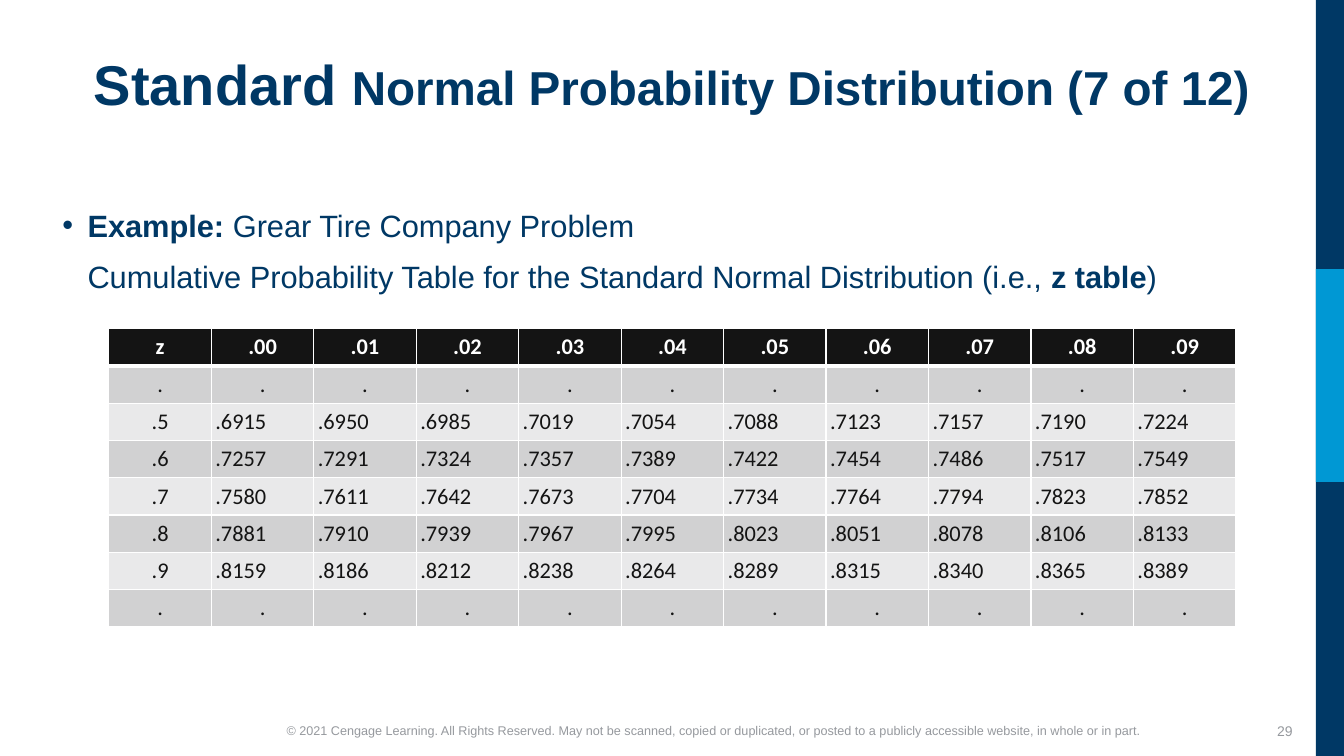
import pptx
import pptx.dml.color
import pptx.enum.shapes
import pptx.enum.text
import pptx.oxml
import pptx.oxml.ns
import pptx.util
from pptx.util import Inches

RGBColor = pptx.dml.color.RGBColor
ALIGN = pptx.enum.text.PP_ALIGN
ANCHOR = pptx.enum.text.MSO_ANCHOR

NAVY = RGBColor(0x00, 0x38, 0x65)
SKY = RGBColor(0x00, 0x98, 0xD4)
GRAY = RGBColor(0x96, 0x99, 0x9E)
WHITE = RGBColor(0xFF, 0xFF, 0xFF)
INK = RGBColor(0x14, 0x14, 0x14)
DARK_BAND = RGBColor(0xD1, 0xD1, 0xD2)
LIGHT_BAND = RGBColor(0xE9, 0xE9, 0xEA)

COPYRIGHT = (
    "© 2021 Cengage Learning. All Rights Reserved. May not be scanned, copied or "
    "duplicated, or posted to a publicly accessible website, in whole or in part."
)
Z_TABLE = [
    ["z", ".00", ".01", ".02", ".03", ".04", ".05", ".06", ".07", ".08", ".09"],
    ["."] * 11,
    [".5", ".6915", ".6950", ".6985", ".7019", ".7054", ".7088", ".7123", ".7157", ".7190", ".7224"],
    [".6", ".7257", ".7291", ".7324", ".7357", ".7389", ".7422", ".7454", ".7486", ".7517", ".7549"],
    [".7", ".7580", ".7611", ".7642", ".7673", ".7704", ".7734", ".7764", ".7794", ".7823", ".7852"],
    [".8", ".7881", ".7910", ".7939", ".7967", ".7995", ".8023", ".8051", ".8078", ".8106", ".8133"],
    [".9", ".8159", ".8186", ".8212", ".8238", ".8264", ".8289", ".8315", ".8340", ".8365", ".8389"],
    ["."] * 11,
]


def set_values(target, values):
    for name, value in values.items():
        setattr(target, name, value)


def add_run(paragraph, text, size, color, bold=False, name="Arial"):
    run = paragraph.add_run()
    run.text = text
    set_values(run.font, {"size": pptx.util.Pt(size), "bold": bold, "name": name})
    run.font.color.rgb = color


def add_text_frame(slide, box, anchor=ANCHOR.TOP):
    frame = slide.shapes.add_textbox(*map(Inches, box)).text_frame
    set_values(frame, {"word_wrap": True, "vertical_anchor": anchor})
    return frame


def add_side_band(slide, box):
    """Navy strip down the slide edge with a sky-blue middle part."""
    left, top, width, height = box
    for color, offset, length in ((NAVY, 0, height), (SKY, 2.67, 2.11)):
        band = slide.shapes.add_shape(
            pptx.enum.shapes.MSO_SHAPE.RECTANGLE,
            *map(Inches, (left, top + offset, width, length)),
        )
        band.shadow.inherit = False
        band.fill.solid()
        band.fill.fore_color.rgb = color
        band.line.fill.background()


def add_footer(slide, box):
    left, top, width, height = box
    notice = add_text_frame(slide, (left, top + 0.07, 10.51, 0.25)).paragraphs[0]
    notice.alignment = ALIGN.CENTER
    add_run(notice, COPYRIGHT, 9, GRAY)
    number_box = (left + width - 0.8, top, 0.8, height)
    number = add_text_frame(slide, number_box, ANCHOR.MIDDLE).paragraphs[0]
    number.alignment = ALIGN.RIGHT
    add_run(number, "29", 10, GRAY)


def add_title(slide, box):
    paragraph = add_text_frame(slide, box).paragraphs[0]
    set_values(paragraph, {"alignment": ALIGN.CENTER, "line_spacing": 0.9})
    add_run(paragraph, "Standard ", 40, NAVY, bold=True)
    add_run(paragraph, "Normal Probability Distribution (7 of 12)", 34, NAVY, bold=True)


def indent(paragraph, hanging, bullet=None):
    properties = paragraph._p.get_or_add_pPr()
    properties.set("marL", str(Inches(0.25)))
    properties.set("indent", str(-Inches(hanging)))
    if bullet:
        namespace = pptx.oxml.ns.nsdecls("a")
        for xml in (
            f'<a:buClr {namespace}><a:srgbClr val="{NAVY}"/></a:buClr>',
            f'<a:buFont {namespace} typeface="Arial"/>',
            f'<a:buChar {namespace} char="{bullet}"/>',
        ):
            properties.append(pptx.oxml.parse_xml(xml))


def add_example(slide, box):
    frame = add_text_frame(slide, box)
    example = frame.paragraphs[0]
    indent(example, 0.25, "•")
    add_run(example, "Example: ", 22, NAVY, bold=True)
    add_run(example, "Grear Tire Company Problem", 22, NAVY)
    caption = frame.add_paragraph()
    indent(caption, 0)
    set_values(caption, {"space_before": pptx.util.Pt(10), "space_after": pptx.util.Pt(8)})
    add_run(caption, "Cumulative Probability Table for the Standard Normal Distribution (i.e., ", 22, NAVY)
    add_run(caption, "z table", 22, NAVY, bold=True)
    add_run(caption, ")", 22, NAVY)


def add_borders(cell, widths):
    """Draw white borders; widths maps each side's letter to points."""
    properties = cell._tc.get_or_add_tcPr()
    for side, width in widths.items():
        properties.append(pptx.oxml.parse_xml(
            f'<a:ln{side} {pptx.oxml.ns.nsdecls("a")} w="{pptx.util.Pt(width)}">'
            f'<a:solidFill><a:srgbClr val="{WHITE}"/></a:solidFill></a:ln{side}>'
        ))


def fill_cell(cell, text, row, column):
    header = row == 0
    set_values(cell, {
        "margin_left": Inches(0.04), "margin_right": Inches(0.04),
        "margin_top": Inches(0.05), "margin_bottom": Inches(0.05),
    })
    top = 3 if row == 1 else 1
    add_borders(cell, {"L": 1, "R": 1, "T": top, "B": 3 if header else 1})
    cell.fill.solid()
    band = DARK_BAND if row % 2 else LIGHT_BAND
    cell.fill.fore_color.rgb = INK if header else band
    paragraph = cell.text_frame.paragraphs[0]
    centered = header or column == 0 or text == "."
    paragraph.alignment = ALIGN.CENTER if centered else ALIGN.LEFT
    add_run(paragraph, text, 16, WHITE if header else INK, header, "Calibri")


def add_z_table(slide, box):
    row_count, column_count = len(Z_TABLE), len(Z_TABLE[0])
    table = slide.shapes.add_table(row_count, column_count, *map(Inches, box)).table
    for column in table.columns:
        column.width = Inches(box[2] / column_count)
    for row in table.rows:
        row.height = Inches(box[3] / row_count)
    for row, texts in enumerate(Z_TABLE):
        for column, text in enumerate(texts):
            fill_cell(table.cell(row, column), text, row, column)


def main():
    presentation = pptx.Presentation()
    set_values(presentation, {"slide_width": Inches(13.33), "slide_height": Inches(7.5)})
    slide = presentation.slides.add_slide(presentation.slide_layouts[6])
    add_footer(slide, (1.82, 7.05, 11.1, 0.4))
    add_side_band(slide, (13.05, 0, 0.28, 7.5))
    add_example(slide, (0.52, 2, 12.29, 1.1))
    add_z_table(slide, (1.08, 3.26, 11.18, 2.96))
    add_title(slide, (0.52, 0.52, 12.29, 1.33))
    presentation.save("out.pptx")


if __name__ == "__main__":
    main()
